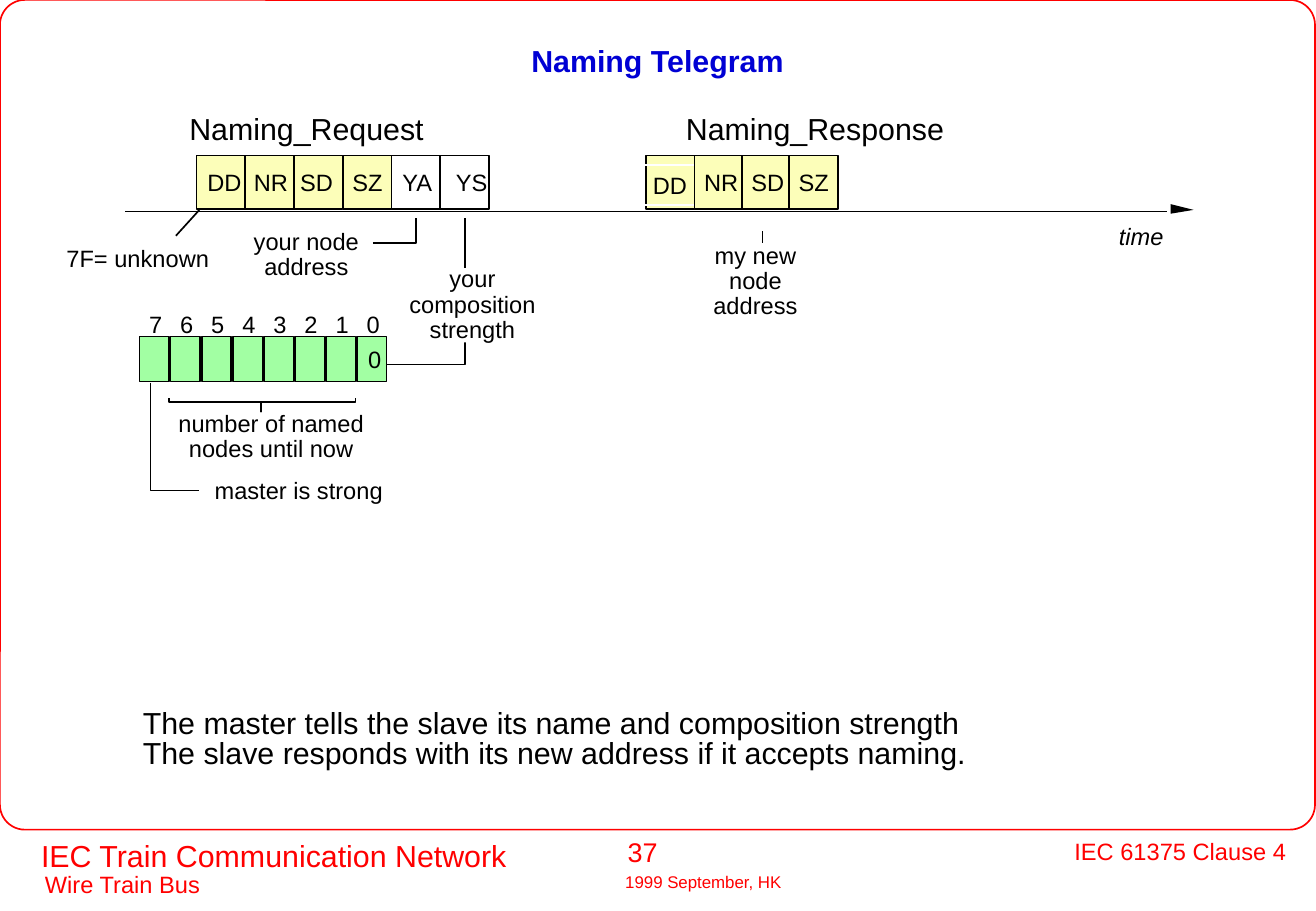
from dataclasses import dataclass

import lxml.etree
import pptx
import pptx.dml.color
import pptx.enum.shapes
import pptx.enum.text
import pptx.oxml.ns
import pptx.shapes.autoshape
import pptx.slide
import pptx.util

Cm = pptx.util.Cm
Pt = pptx.util.Pt
Color = pptx.dml.color.RGBColor
Preset = pptx.enum.shapes.MSO_SHAPE
Align = pptx.enum.text.PP_ALIGN
Point = tuple[float, float]


@dataclass(frozen=True)
class Theme:
    font: str = "Arial"
    red: Color = Color(0xFF, 0x00, 0x00)
    blue: Color = Color(0x00, 0x00, 0xD4)
    black: Color = Color(0x00, 0x00, 0x00)
    white: Color = Color(0xFF, 0xFF, 0xFF)
    yellow: Color = Color(0xFC, 0xFE, 0xB9)
    green: Color = Color(0xA2, 0xFF, 0xA3)
    date_size: int = 10
    label_size: int = 14
    page_size: int = 16
    heading_size: int = 18
    line_width: int = 1


THEME = Theme()


@dataclass(frozen=True)
class Label:
    lines: tuple[str, ...]
    left: float
    top: float
    width: float
    height: float = 0.84
    size: int = THEME.label_size
    color: Color = THEME.black
    align: Align = Align.LEFT
    pitch: float | None = None
    inset: float = 0.25
    bold: bool = False
    italic: bool = False
    fill: Color | None = None


@dataclass(frozen=True)
class Cell:
    text: str
    left: float
    top: float
    width: float
    height: float
    indent: float = 0.25
    fill: Color | None = THEME.yellow
    line: Color = THEME.black


@dataclass(frozen=True)
class Polyline:
    points: tuple[Point, ...]


def set_fill(shape: pptx.shapes.autoshape.Shape, color: Color | None) -> None:
    if color is None:
        shape.fill.background()
    else:
        shape.fill.solid()
        shape.fill.fore_color.rgb = color


def set_line(shape: pptx.shapes.autoshape.Shape, color: Color) -> None:
    shape.shadow.inherit = False
    shape.line.color.rgb = color
    shape.line.width = Pt(THEME.line_width)


def write(shape: pptx.shapes.autoshape.Shape, label: Label) -> None:
    frame = shape.text_frame
    frame.auto_size = pptx.enum.text.MSO_AUTO_SIZE.NONE
    frame.vertical_anchor = pptx.enum.text.MSO_ANCHOR.MIDDLE
    frame.margin_left = frame.margin_right = Cm(label.inset)
    frame.margin_top = frame.margin_bottom = 0
    frame.word_wrap = False
    for index, line in enumerate(label.lines):
        paragraph = frame.add_paragraph() if index else frame.paragraphs[0]
        paragraph.alignment = label.align
        if label.pitch:
            paragraph.line_spacing = Pt(label.pitch)
        run = paragraph.add_run()
        run.text = line
        run.font.name = THEME.font
        run.font.size = Pt(label.size)
        run.font.color.rgb = label.color
        run.font.bold = label.bold
        run.font.italic = label.italic


def draw_label(slide: pptx.slide.Slide, label: Label) -> None:
    shape = slide.shapes.add_textbox(
        Cm(label.left), Cm(label.top), Cm(label.width), Cm(label.height))
    set_fill(shape, label.fill)
    write(shape, label)


def draw_cell(slide: pptx.slide.Slide, cell: Cell) -> None:
    shape = slide.shapes.add_shape(
        Preset.RECTANGLE, Cm(cell.left), Cm(cell.top), Cm(cell.width), Cm(cell.height))
    set_fill(shape, cell.fill)
    set_line(shape, cell.line)
    if cell.text:
        write(shape, Label((cell.text,), cell.left, cell.top, cell.width))
        shape.text_frame.word_wrap = True
        shape.text_frame.margin_left = Cm(cell.indent)
        shape.text_frame.margin_right = 0


def draw_outline(slide: pptx.slide.Slide, polyline: Polyline,
                 fill: Color | None = None) -> None:
    points = [(Cm(x), Cm(y)) for x, y in polyline.points]
    builder = slide.shapes.build_freeform(*points[0])
    builder.add_line_segments(points[1:], close=fill is not None)
    shape = builder.convert_to_shape()
    set_fill(shape, fill)
    set_line(shape, THEME.black)
    if fill is not None:
        shape.line.fill.background()


def draw_connector(slide: pptx.slide.Slide, start: Point, end: Point) -> None:
    connector = slide.shapes.add_connector(
        pptx.enum.shapes.MSO_CONNECTOR.STRAIGHT,
        Cm(start[0]), Cm(start[1]), Cm(end[0]), Cm(end[1]))
    connector.line.color.rgb = THEME.black
    connector.line.width = Pt(THEME.line_width)
    lxml.etree.SubElement(connector._element.spPr, pptx.oxml.ns.qn("a:effectLst"))


def telegram(left: float, pitch: float, fields: dict[str, float]) -> list[Cell]:
    return [
        Cell(text, left + index * pitch, 3.25, 1.02, 1.12, indent,
             None if text.startswith("Y") else THEME.yellow)
        for index, (text, indent) in enumerate(fields.items())
    ]


REQUEST = telegram(4.11, 1.02, {
    "DD": 0.23, "NR": 0.18, "SD": 0.13, "SZ": 0.2, "YA": 0.23, "YS": 0.33})
RESPONSE = telegram(14.53, 0.99, {"NR": 0.2, "SD": 0.2, "SZ": 0.2})
RESPONSE_ADDRESS = [
    Cell("", 13.51, 3.25, 1.02, 1.12),
    Cell("DD", 13.41, 3.45, 1.22, 0.84, fill=None, line=THEME.white),
]
BIT_COUNT = 8
BIT_PITCH = 0.65
BITS = [
    Cell("0" if bit == BIT_COUNT - 1 else "", 2.92 + bit * BIT_PITCH, 7.04,
         0.62, 0.94, 0.23, THEME.green)
    for bit in range(BIT_COUNT)
]
BIT_NUMBERS = [
    Label((str(BIT_COUNT - 1 - bit),), 2.87 + bit * BIT_PITCH, 6.35, 0.79)
    for bit in range(BIT_COUNT)
]
LEADERS = [
    Polyline(((7.8, 5.08), (8.71, 5.08), (8.71, 4.55))),
    Polyline(((8.1, 7.62), (9.73, 7.62), (9.73, 4.55))),
    Polyline(((3.15, 8), (3.15, 10.26), (4.17, 10.26))),
    Polyline(((3.53, 8.33), (3.53, 8.41), (5.46, 8.41), (5.46, 8.61),
              (5.46, 8.41), (7.44, 8.41), (7.44, 8.33))),
]
ARROWHEAD = Polyline(((24.97, 4.39), (24.49, 4.47), (24.49, 4.27)))
CONNECTORS = [
    ((2.62, 4.42), (24.41, 4.42)),
    ((3.68, 4.93), (4.17, 4.39)),
    ((15.95, 5.08), (15.95, 4.83)),
]
LABELS = [
    Label(("Wire Train Bus",), 0.69, 18.06, 3.78, color=THEME.red),
    Label(("37",), 12.88, 17.35, 3.07, 0.91, THEME.page_size, THEME.red),
    Label(("IEC Train Communication Network",), 0.61, 17.37, 10.29, 1.02,
          THEME.heading_size, THEME.red),
    Label(("IEC 61375 Clause 4",), 22.23, 17.37, 4.93, color=THEME.red, align=Align.RIGHT),
    Label(("1999 September, HK",), 12.83, 18.11, 3.78, 0.66, THEME.date_size, THEME.red),
    Label(("Naming Telegram",), 0.46, 0.56, 26.59, 1.42, THEME.heading_size,
          THEME.blue, Align.CENTER, bold=True),
    Label(("Naming_Request",), 3.71, 2.18, 5.41, 1.02, THEME.heading_size),
    Label(("Naming_Response",), 14.1, 2.18, 5.89, 1.02, THEME.heading_size),
    Label(("7F= unknown",), 1.14, 4.98, 3.48),
    Label(("your node", "address"), 5.05, 4.65, 2.72, 1.37, align=Align.CENTER, pitch=15),
    Label(("your", "composition", "strength"), 8.26, 5.61, 3.25, 1.55,
          align=Align.CENTER, pitch=15, inset=0, fill=THEME.white),
    Label(("my new", "node", "address"), 14.61, 5.11, 2.39, 1.55,
          align=Align.CENTER, pitch=15, inset=0, fill=THEME.white),
    Label(("time",), 23.39, 4.7, 0.97, 0.48, align=Align.CENTER, inset=0,
          italic=True, fill=THEME.white),
    Label(("number of named", "nodes until now"), 3.48, 8.46, 4.39, 1.37,
          align=Align.CENTER, pitch=15),
    Label(("master is strong",), 4.24, 9.83, 4.04),
    Label(("The master tells the slave its name and composition strength",
           "The slave responds with its new address if it accepts naming."),
          2.74, 14.66, 17.73, 1.65, THEME.heading_size, pitch=18),
]


def main() -> None:
    presentation = pptx.Presentation()
    presentation.slide_width = Cm(27.53)
    presentation.slide_height = Cm(19.05)
    slide = presentation.slides.add_slide(presentation.slide_layouts[6])
    border = slide.shapes.add_shape(Preset.ROUNDED_RECTANGLE, 0, 0, Cm(27.51), Cm(17.35))
    border.adjustments[0] = 0.03
    set_fill(border, None)
    set_line(border, THEME.red)
    for leader in LEADERS:
        draw_outline(slide, leader)
    for cell in REQUEST + RESPONSE_ADDRESS + RESPONSE + BITS:
        draw_cell(slide, cell)
    for start, end in CONNECTORS:
        draw_connector(slide, start, end)
    draw_outline(slide, ARROWHEAD, THEME.black)
    for label in BIT_NUMBERS + LABELS:
        draw_label(slide, label)
    presentation.save("out.pptx")


if __name__ == "__main__":
    main()
